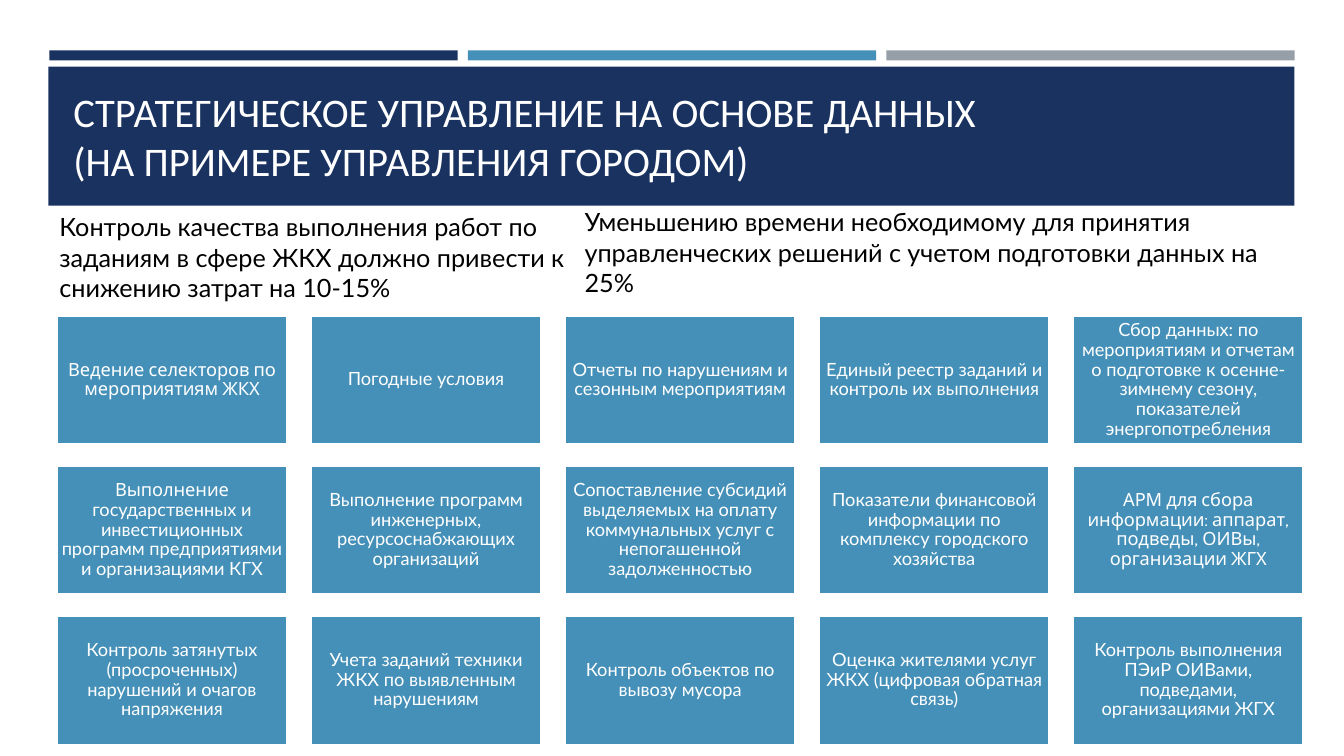
import pptx
import pptx.util
import pptx.dml.color
import pptx.enum.shapes
import pptx.enum.text
from dataclasses import dataclass
from pptx.util import Inches


@dataclass(frozen=True)
class Theme:
    navy: str = "1A3260"
    blue: str = "4590B8"
    gray: str = "969FA7"
    white: str = "FFFFFF"
    black: str = "000000"
    title_font: str = "Calibri"
    body_font: str = "Lato"
    accent_font: str = "Cabin"
    title_size: int = 29
    body_size: int = 18
    card_size: int = 13
    card_border: float = 1.75


T = Theme()
ANCHOR = pptx.enum.text.MSO_ANCHOR
ALIGN = pptx.enum.text.PP_ALIGN

TITLE = [
    "СТРАТЕГИЧЕСКОЕ УПРАВЛЕНИЕ НА ОСНОВЕ ДАННЫХ",
    "(НА ПРИМЕРЕ УПРАВЛЕНИЯ ГОРОДОМ)",
]
TITLE_BOX = (0.63, 0.8, 12.06, 1.08)
BANNER = (0.48, 0.66, 12.36, 1.38)
STRIPES = [T.navy, T.blue, T.gray]

# Expected effects: text and box (left, top, width, height)
EFFECTS = [
    ("Уменьшению времени необходимому для принятия управленческих решений "
     "с учетом подготовки данных на 25%", (5.7, 2, 7.43, 1.01)),
    ("Контроль качества выполнения работ по заданиям в сфере ЖКХ должно "
     "привести к снижению затрат на 10-15%", (0.49, 2.05, 5.21, 1.01)),
]

# Rows of cards; a card is a list of (text, font) runs
CARDS = [
    [
        [("Ведение селекторов по мероприятиям ЖКХ", T.accent_font)],
        [("Погодные условия", T.body_font)],
        [("Отчеты по нарушениям и сезонным мероприятиям", T.body_font)],
        [("Единый реестр заданий и контроль их выполнения", T.body_font)],
        [("Сбор данных: по мероприятиям и отчетам о подготовке к "
          "осенне-зимнему сезону, показателей энергопотребления", T.body_font)],
    ],
    [
        [("Выполнение ", T.accent_font),
         ("государственных и инвестиционных программ предприятиями и "
          "организациями КГХ", T.body_font)],
        [("Выполнение программ инженерных, ресурсоснабжающих организаций",
          T.body_font)],
        [("Сопоставление субсидий выделяемых на оплату коммунальных услуг "
          "с непогашенной задолженностью", T.body_font)],
        [("Показатели финансовой информации по комплексу городского хозяйства",
          T.body_font)],
        [("АРМ для сбора информации: аппарат, подведы, ОИВы, организации ЖГХ",
          T.accent_font)],
    ],
    [
        [("Контроль затянутых (просроченных) нарушений и очагов напряжения",
          T.body_font)],
        [("Учета заданий техники ЖКХ по выявленным нарушениям", T.body_font)],
        [("Контроль объектов по вывозу мусора", T.body_font)],
        [("Оценка жителями услуг ЖКХ (цифровая обратная связь)", T.body_font)],
        [("Контроль выполнения ПЭиР ОИВами, подведами, организациями ЖГХ",
          T.body_font)],
    ],
]

STRIPE_LEFT, STRIPE_TOP, STRIPE_W, STRIPE_H, STRIPE_STEP = 0.49, 0.5, 4.05, 0.1, 4.15
CARD_LEFT, CARD_TOP, CARD_W, CARD_H = 0.56, 3.13, 2.29, 1.28
CARD_STEP_X, CARD_STEP_Y = 2.52, 1.49
CARD_INSET = 0.05


def rgb(value):
    return pptx.dml.color.RGBColor.from_string(value)


def add_rect(s, box, fill):
    sp = s.shapes.add_shape(pptx.enum.shapes.MSO_SHAPE.RECTANGLE,
                            *map(Inches, box))
    sp.shadow.inherit = False
    sp.fill.solid()
    sp.fill.fore_color.rgb = rgb(fill)
    sp.line.fill.background()
    return sp


def add_run(p, text, font, size, color):
    r = p.add_run()
    r.text = text
    r.font.name = font
    r.font.size = pptx.util.Pt(size)
    r.font.color.rgb = rgb(color)


def add_text(s, box, lines, font, size, color, anchor):
    """Add a wrapping text box with one paragraph per line."""
    tf = s.shapes.add_textbox(*map(Inches, box)).text_frame
    tf.word_wrap = True
    tf.vertical_anchor = anchor
    for i, line in enumerate(lines):
        p = tf.add_paragraph() if i else tf.paragraphs[0]
        add_run(p, line, font, size, color)


def add_card(s, box, runs):
    sp = add_rect(s, box, T.blue)
    sp.line.color.rgb = rgb(T.white)
    sp.line.width = pptx.util.Pt(T.card_border)
    tf = sp.text_frame
    tf.word_wrap = True
    tf.vertical_anchor = ANCHOR.MIDDLE
    tf.margin_left = tf.margin_right = Inches(CARD_INSET)
    tf.margin_top = tf.margin_bottom = Inches(CARD_INSET)
    p = tf.paragraphs[0]
    p.alignment = ALIGN.CENTER
    p.line_spacing = 0.9
    for text, font in runs:
        add_run(p, text, font, T.card_size, T.white)


def main():
    prs = pptx.Presentation()
    prs.slide_width = Inches(13.33)
    prs.slide_height = Inches(7.5)
    s = prs.slides.add_slide(prs.slide_layouts[6])

    for i, color in enumerate(STRIPES):
        left = STRIPE_LEFT + i * STRIPE_STEP
        add_rect(s, (left, STRIPE_TOP, STRIPE_W, STRIPE_H), color)
    add_rect(s, BANNER, T.navy)
    add_text(s, TITLE_BOX, TITLE, T.title_font, T.title_size, T.white,
             ANCHOR.BOTTOM)

    for text, box in EFFECTS:
        add_text(s, box, [text], T.body_font, T.body_size, T.black, ANCHOR.TOP)

    for i, row in enumerate(CARDS):
        for j, runs in enumerate(row):
            left = CARD_LEFT + j * CARD_STEP_X
            top = CARD_TOP + i * CARD_STEP_Y
            add_card(s, (left, top, CARD_W, CARD_H), runs)

    prs.save("out.pptx")


if __name__ == "__main__":
    main()
